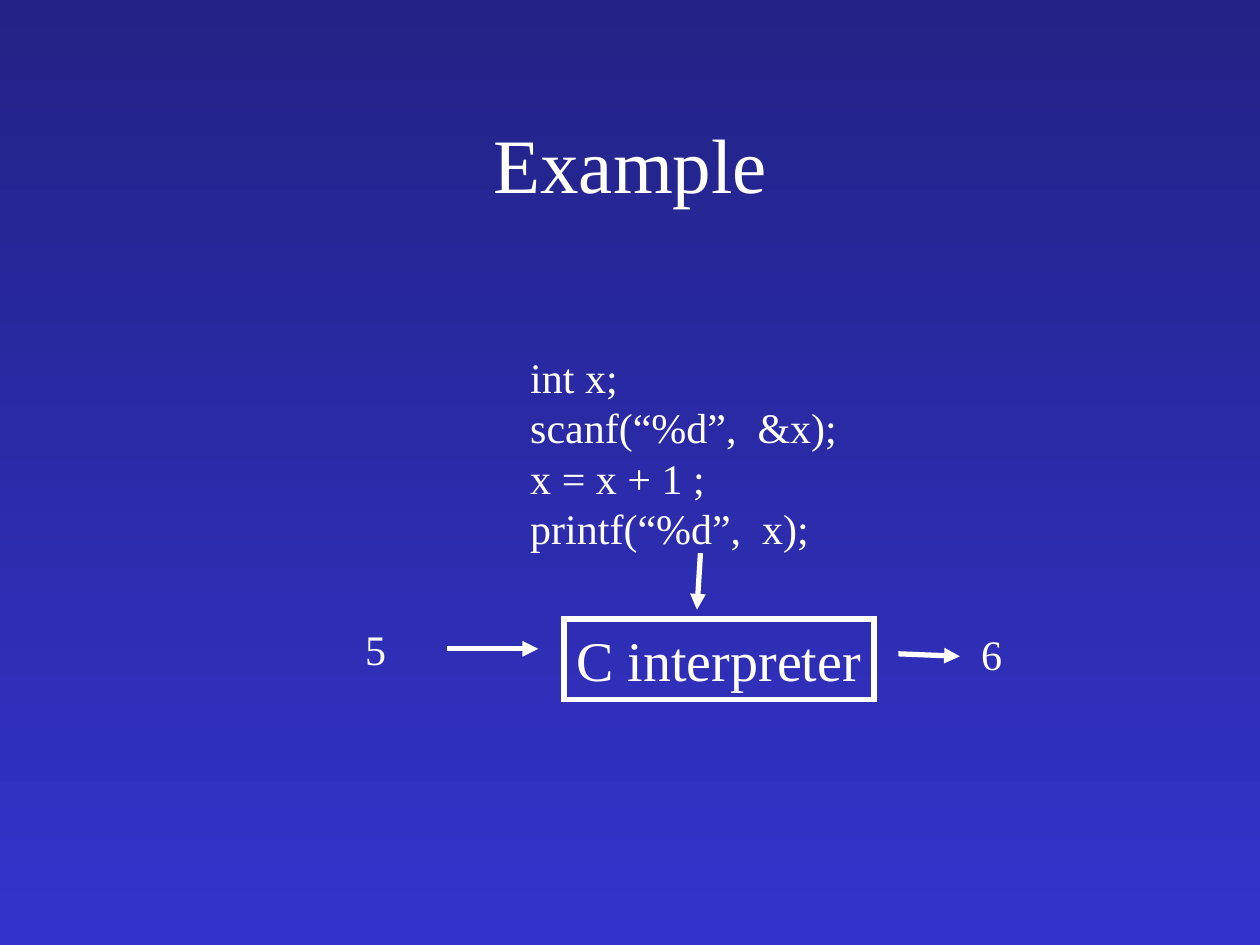
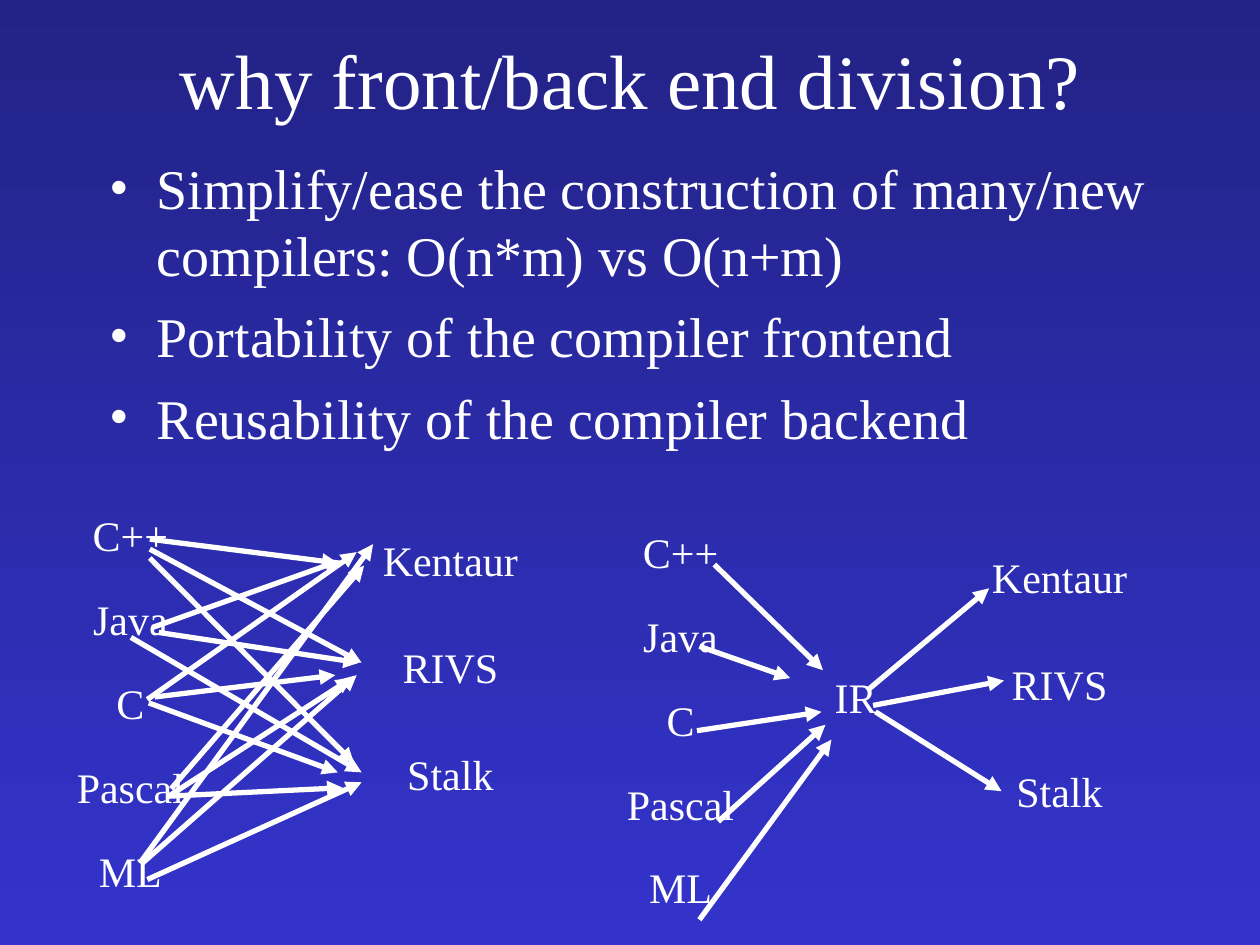
from dataclasses import dataclass
from typing import Any, NamedTuple

import pptx
import pptx.dml.color
import pptx.enum.shapes
import pptx.enum.text
import pptx.oxml
import pptx.oxml.ns
import pptx.util

Cm = pptx.util.Cm
Pt = pptx.util.Pt
Align = pptx.enum.text.PP_ALIGN
Anchor = pptx.enum.text.MSO_ANCHOR

COLOURS = {"top": "222286", "bottom": "3333CC", "ink": "FFFFFF"}
FONT = "Times New Roman"
LINE_WIDTH = Pt(3)
LABEL_HEIGHT = 1.27
BULLET_INDENT = 0.95
LANGUAGE_PITCH = 1.69
CHIP_PITCH = 2.15
CHIP_DROP = 0.51


class Frame(NamedTuple):
    left: float
    top: float
    width: float
    height: float


class Arrow(NamedTuple):
    start_x: float
    start_y: float
    end_x: float
    end_y: float


@dataclass(frozen=True)
class Label:
    text: str
    width: float


@dataclass(frozen=True)
class Cluster:
    language_centre: float
    chip_centre: float
    top: float
    arrows: list[Arrow]


LANGUAGES = [
    Label("C++", 2.31),
    Label("Java", 2.31),
    Label("C", 2.31),
    Label("Pascal", 3.94),
    Label("ML", 3.94),
]
CHIPS = [Label("Kentaur", 3.68), Label("RIVS", 3.68), Label("Stalk", 3.68)]

PROGRAM = ["int x;", "scanf(“%d”,  &x);", "x = x + 1 ;", "printf(“%d”,  x);"]
REASONS = [
    "Simplify/ease the construction of many/new compilers: O(n*m) vs O(n+m)",
    "Portability of the compiler frontend",
    "Reusability of the compiler backend",
]

INTERPRETER_ARROWS = [
    Arrow(14.12, 11.15, 14.05, 12.29),
    Arrow(9.02, 13.08, 10.85, 13.08),
    Arrow(18.11, 13.18, 19.35, 13.23),
]
DIRECT = Cluster(2.63, 9.08, 10.15, [
    Arrow(3.02, 10.87, 6.81, 11.35),
    Arrow(3.02, 11.07, 7.29, 13.36),
    Arrow(3.02, 11.25, 7.14, 15.39),
    Arrow(3.07, 12.65, 6.86, 11.3),
    Arrow(3.2, 12.75, 7.24, 13.36),
    Arrow(2.64, 12.85, 7.29, 15.57),
    Arrow(2.97, 14.1, 7.19, 11.13),
    Arrow(3.12, 14.05, 6.76, 13.61),
    Arrow(3, 14.17, 6.81, 15.57),
    Arrow(3.45, 15.9, 7.34, 11.4),
    Arrow(3.4, 16.05, 7.09, 13.67),
    Arrow(3.4, 16.05, 6.91, 15.88),
    Arrow(2.82, 17.4, 7.52, 10.97),
    Arrow(2.87, 17.4, 7.19, 13.61),
    Arrow(2.97, 17.73, 7.29, 15.77),
])
THROUGH_IR = Cluster(13.72, 21.36, 10.49, [
    Arrow(14.4, 11.38, 16.59, 13.51),
    Arrow(14.1, 13.03, 15.93, 13.67),
    Arrow(14.05, 14.73, 16.56, 14.35),
    Arrow(14.48, 16.56, 16.64, 14.61),
    Arrow(14.1, 18.54, 16.76, 14.91),
    Arrow(17.48, 13.92, 19.94, 11.86),
    Arrow(17.6, 14.22, 20.24, 13.72),
    Arrow(17.65, 14.35, 20.19, 15.95),
])


def colour(name: str) -> pptx.dml.color.RGBColor:
    return pptx.dml.color.RGBColor.from_string(COLOURS[name])


def make_element(tag: str, attributes: str = "") -> Any:
    namespace = pptx.oxml.ns.nsdecls("a")
    return pptx.oxml.parse_xml(f"<a:{tag} {namespace} {attributes}/>")


def add_bullet(para: Any) -> None:
    properties = para._p.get_or_add_pPr()
    properties.set("marL", str(Cm(BULLET_INDENT)))
    properties.set("indent", str(-Cm(BULLET_INDENT)))
    properties.append(make_element("buFont", f'typeface="{FONT}"'))
    properties.append(make_element("buChar", 'char="•"'))


def draw_outline(box: Any) -> None:
    box.shadow.inherit = False
    box.fill.background()
    box.line.color.rgb = colour("ink")
    box.line.width = LINE_WIDTH
    box.line._get_or_add_ln().append(make_element("miter", 'lim="800000"'))


def write_text(page: Any, lines: list[str], frame: Frame, *, size: int = 24,
               align: Any = Align.LEFT, anchor: Any = Anchor.TOP,
               wrap: bool = True, bullets: bool = False, gap: int = 0,
               outlined: bool = False) -> None:
    place = [Cm(length) for length in frame]
    if outlined:
        rectangle = pptx.enum.shapes.MSO_SHAPE.RECTANGLE
        box = page.shapes.add_shape(rectangle, *place)
        draw_outline(box)
    else:
        box = page.shapes.add_textbox(*place)
    body = box.text_frame
    body.word_wrap = wrap
    body.vertical_anchor = anchor
    for index, line in enumerate(lines):
        para = body.add_paragraph() if index else body.paragraphs[0]
        if bullets:
            add_bullet(para)
        para.alignment = align
        if index and gap:
            para.space_before = Pt(gap)
        span = para.add_run()
        span.text = line
        span.font.name = FONT
        span.font.size = Pt(size)
        span.font.color.rgb = colour("ink")


def draw_arrow(page: Any, arrow: Arrow) -> None:
    straight = pptx.enum.shapes.MSO_CONNECTOR.STRAIGHT
    line = page.shapes.add_connector(straight, *[Cm(value) for value in arrow])
    line.line.color.rgb = colour("ink")
    line.line.width = LINE_WIDTH
    outline = line.line._get_or_add_ln()
    outline.append(make_element("tailEnd", 'type="triangle"'))
    outline.addnext(make_element("effectLst"))


def draw_labels(page: Any, labels: list[Label], centre: float, top: float,
                pitch: float) -> None:
    for row, label in enumerate(labels):
        frame = Frame(centre - label.width / 2, top + row * pitch,
                      label.width, LABEL_HEIGHT)
        write_text(page, [label.text], frame, align=Align.CENTER)


def draw_cluster(page: Any, cluster: Cluster) -> None:
    draw_labels(page, LANGUAGES, cluster.language_centre, cluster.top,
                LANGUAGE_PITCH)
    draw_labels(page, CHIPS, cluster.chip_centre, cluster.top + CHIP_DROP,
                CHIP_PITCH)
    for arrow in cluster.arrows:
        draw_arrow(page, arrow)


def add_page(deck: Any, title: str, top: float, height: float) -> Any:
    page = deck.slides.add_slide(deck.slide_layouts[6])
    fill = page.background.fill
    fill.gradient()
    fill.gradient_angle = 270
    for stop, name in zip(fill.gradient_stops, ("top", "bottom")):
        stop.color.rgb = colour(name)
    write_text(page, [title], Frame(1.91, top, 21.6, height), size=44,
               align=Align.CENTER, anchor=Anchor.MIDDLE)
    return page


def build_example(deck: Any) -> None:
    page = add_page(deck, "Example", 1.7, 3.18)
    write_text(page, ["C interpreter"], Frame(11.37, 12.48, 6.25, 1.63),
               size=32, align=Align.CENTER, anchor=Anchor.MIDDLE, wrap=False,
               outlined=True)
    write_text(page, PROGRAM, Frame(10.44, 6.96, 7.2, 4.32),
               anchor=Anchor.MIDDLE)
    write_text(page, ["5"], Frame(7.11, 12.45, 2.06, LABEL_HEIGHT),
               anchor=Anchor.MIDDLE)
    write_text(page, ["6"], Frame(19.53, 12.55, 5.8, LABEL_HEIGHT),
               anchor=Anchor.MIDDLE)
    for arrow in INTERPRETER_ARROWS:
        draw_arrow(page, arrow)


def build_division(deck: Any) -> None:
    page = add_page(deck, "why front/back end division?", 0.43, 2.31)
    write_text(page, REASONS, Frame(1.96, 2.97, 21.95, 7.19), size=32,
               bullets=True, gap=8)
    draw_cluster(page, DIRECT)
    draw_cluster(page, THROUGH_IR)
    write_text(page, ["IR"], Frame(16.21, 13.42, 2.08, LABEL_HEIGHT),
               align=Align.CENTER)


def main() -> None:
    deck = pptx.Presentation()
    deck.slide_width = Cm(25.4)
    deck.slide_height = Cm(19.05)
    build_example(deck)
    build_division(deck)
    deck.save("out.pptx")


if __name__ == "__main__":
    main()
